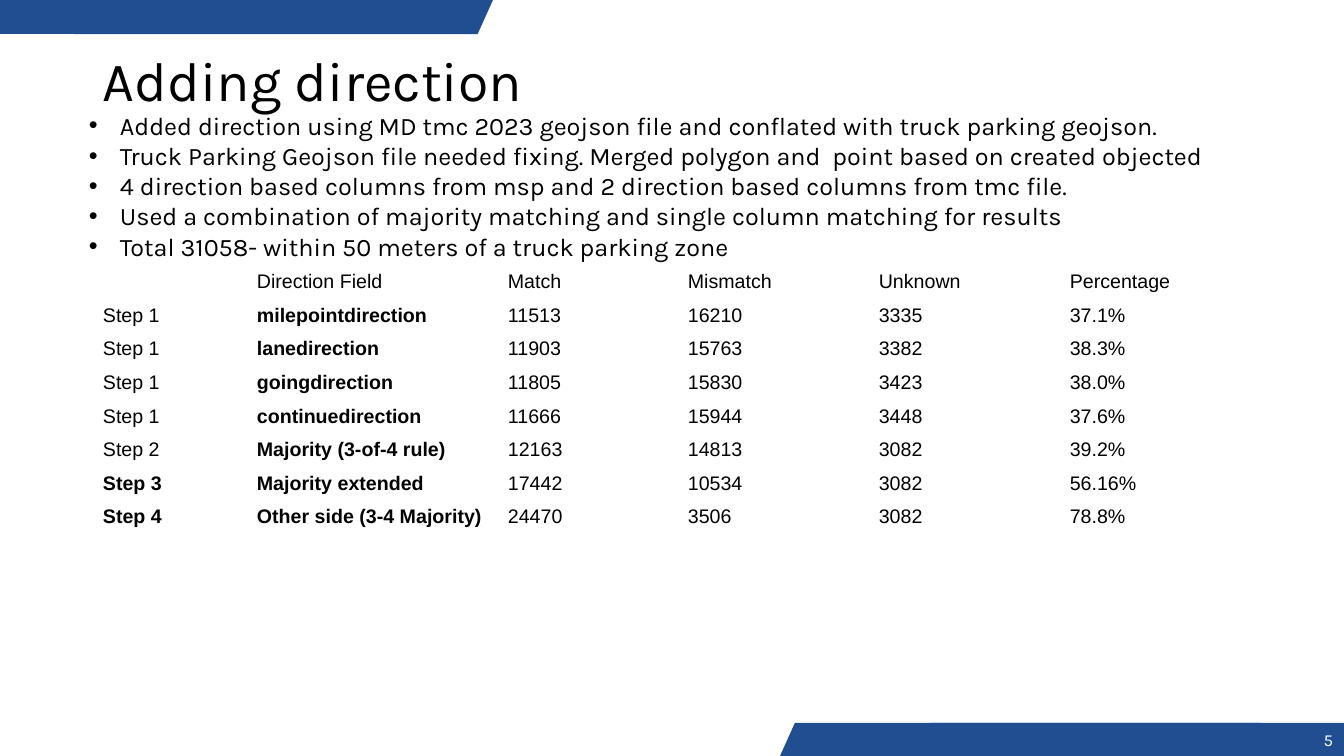
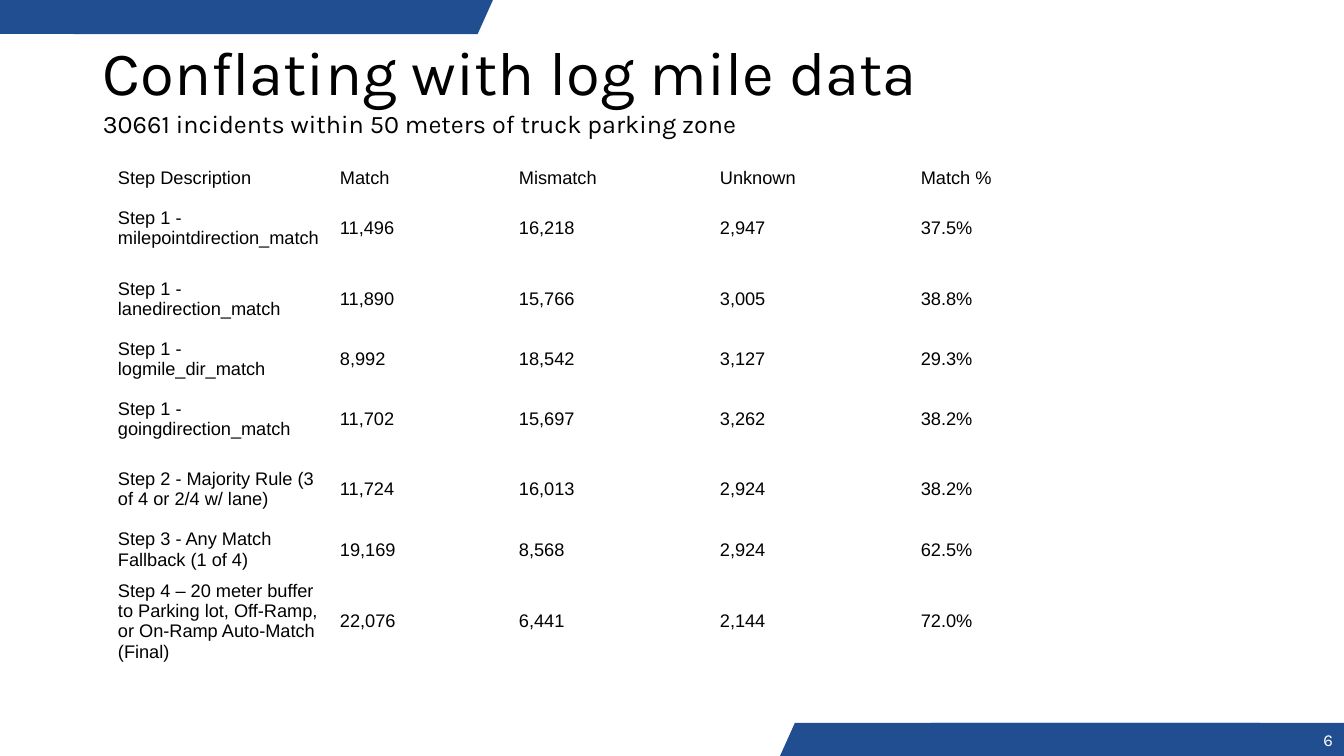
from dataclasses import dataclass
from lxml.etree import SubElement
from pptx import Presentation
from pptx.dml.color import RGBColor
from pptx.enum.shapes import MSO_SHAPE
from pptx.enum.text import MSO_ANCHOR, PP_ALIGN
from pptx.oxml.ns import qn
from pptx.util import Pt


@dataclass(frozen=True)
class Theme:
    blue: RGBColor = RGBColor(0x21, 0x4E, 0x91)
    black: RGBColor = RGBColor(0, 0, 0)
    white: RGBColor = RGBColor(255, 255, 255)
    heading_font: str = "Karla"
    table_font: str = "Arial"
    title: float = 39.6
    large_title: float = 44
    body: float = 18
    number: float = 12


theme = Theme()
PX = 914400 / 100.8


def px(*lengths):
    return [round(length * PX) for length in lengths]


def add_run(para, text, size, color=theme.black, font=theme.heading_font, bold=False):
    span = para.add_run()
    span.text = text
    span.font.size = Pt(size)
    span.font.name = font
    span.font.bold = bold
    span.font.color.rgb = color


bands = [
    (MSO_SHAPE.PARALLELOGRAM, (780, 723, 480, 33)),
    (MSO_SHAPE.RECTANGLE, (931, 723, 413, 33)),
    (MSO_SHAPE.PARALLELOGRAM, (74, 0, 419, 34)),
    (MSO_SHAPE.RECTANGLE, (0, 0, 361, 34)),
]

pages = [
    {
        "title": [("Adding direction", theme.title)],
        "title_place": (93, 45, 1159, 69),
        "bullets": [
            "Added direction using MD tmc 2023 geojson file and conflated with truck parking geojson.",
            "Truck Parking Geojson file needed fixing. Merged polygon and  point based on created objected",
            "4 direction based columns from msp and 2 direction based columns from tmc file.",
            "Used a combination of majority matching and single column matching for results",
            "Total 31058- within 50 meters of a truck parking zone",
        ],
        "table_corner": (93, 265),
        "columns": (154, 251, 180, 191, 191, 192),
        "heights": [269 / 8] * 8,
        "size": 14,
        "margins": (10, 5),
        "bold_cells": [(row, 1) for row in range(1, 8)] + [(6, 0), (7, 0)],
        "rows": [
            ("", "Direction Field", "Match", "Mismatch", "Unknown", "Percentage"),
            ("Step 1", "milepointdirection", "11513", "16210", "3335", "37.1%"),
            ("Step 1", "lanedirection", "11903", "15763", "3382", "38.3%"),
            ("Step 1", "goingdirection", "11805", "15830", "3423", "38.0%"),
            ("Step 1", "continuedirection", "11666", "15944", "3448", "37.6%"),
            ("Step 2", "Majority (3-of-4 rule)", "12163", "14813", "3082", "39.2%"),
            ("Step 3", "Majority extended", "17442", "10534", "3082", "56.16%"),
            ("Step 4", "Other side (3-4 Majority)", "24470", "3506", "3082", "78.8%"),
        ],
    },
    {
        "title": [
            ("Conflating with log mile data", theme.large_title),
            ("30661 incidents within 50 meters of truck parking zone", theme.body),
        ],
        "title_place": (93, 13, 1159, 146),
        "bullets": [],
        "table_corner": (111, 164),
        "columns": (222, 179, 201, 201, 201),
        "heights": (29, 71, 70, 50, 70, 71, 49, 90),
        "size": 13,
        "margins": (7, 3),
        "bold_cells": [],
        "rows": [
            ("Step Description", "Match", "Mismatch", "Unknown", "Match %"),
            ("Step 1 - milepointdirection_match", "11,496", "16,218", "2,947", "37.5%"),
            ("Step 1 - lanedirection_match", "11,890", "15,766", "3,005", "38.8%"),
            ("Step 1 - logmile_dir_match", "8,992", "18,542", "3,127", "29.3%"),
            ("Step 1 - goingdirection_match", "11,702", "15,697", "3,262", "38.2%"),
            ("Step 2 - Majority Rule (3 of 4 or 2/4 w/ lane)", "11,724", "16,013", "2,924", "38.2%"),
            ("Step 3 - Any Match Fallback (1 of 4)", "19,169", "8,568", "2,924", "62.5%"),
            (
                "Step 4 – 20 meter buffer to Parking lot, Off-Ramp, or On-Ramp Auto-Match (Final)",
                "22,076", "6,441", "2,144", "72.0%",
            ),
        ],
    },
]

deck = Presentation()
deck.slide_width, deck.slide_height = px(1344, 756)

for page_number, page in enumerate(pages, start=5):
    slide = deck.slides.add_slide(deck.slide_layouts[6])

    for preset, place in bands:
        band = slide.shapes.add_shape(preset, *px(*place))
        band.shadow.inherit = False
        band.fill.solid()
        band.fill.fore_color.rgb = theme.blue
        band.line.fill.background()
        if preset == MSO_SHAPE.PARALLELOGRAM:
            band.adjustments[0] = 0.45

    title_box = slide.shapes.add_textbox(*px(*page["title_place"]))
    title_box.text_frame.word_wrap = True
    title_box.text_frame.vertical_anchor = MSO_ANCHOR.MIDDLE
    title_para = title_box.text_frame.paragraphs[0]
    for index, (text, size) in enumerate(page["title"]):
        if index:
            title_para.add_line_break()
        add_run(title_para, text, size)

    number_box = slide.shapes.add_textbox(*px(1291, 723, 52, 33))
    number_box.text_frame.word_wrap = True
    number_box.text_frame.vertical_anchor = MSO_ANCHOR.MIDDLE
    number_para = number_box.text_frame.paragraphs[0]
    number_para.alignment = PP_ALIGN.RIGHT
    add_run(number_para, str(page_number), theme.number, theme.white)

    if page["bullets"]:
        bullet_box = slide.shapes.add_textbox(*px(79, 105, 1178, 163))
        bullet_box.text_frame.word_wrap = True
        indent = px(31)[0]
        for index, text in enumerate(page["bullets"]):
            frame = bullet_box.text_frame
            para = frame.add_paragraph() if index else frame.paragraphs[0]
            properties = para._p.get_or_add_pPr()
            properties.set("marL", str(indent))
            properties.set("indent", str(-indent))
            SubElement(properties, qn("a:buFont"), typeface=theme.table_font)
            SubElement(properties, qn("a:buChar"), char="•")
            add_run(para, text, theme.body)

    rows, columns, heights = page["rows"], page["columns"], page["heights"]
    table_place = px(*page["table_corner"], sum(columns), sum(heights))
    table = slide.shapes.add_table(len(rows), len(columns), *table_place).table
    table.first_row = False
    table.horz_banding = False
    for column, width in zip(table.columns, px(*columns)):
        column.width = width
    for row, height in zip(table.rows, px(*heights)):
        row.height = height

    side, edge = px(*page["margins"])
    for row_index, values in enumerate(rows):
        for column_index, text in enumerate(values):
            cell = table.cell(row_index, column_index)
            cell.fill.background()
            cell.vertical_anchor = MSO_ANCHOR.MIDDLE
            cell.margin_left = cell.margin_right = side
            cell.margin_top = cell.margin_bottom = edge
            para = cell.text_frame.paragraphs[0]
            if text:
                bold = (row_index, column_index) in page["bold_cells"]
                add_run(para, text, page["size"], font=theme.table_font, bold=bold)
            else:
                SubElement(para._p, qn("a:endParaRPr"), sz=str(page["size"] * 100))

deck.save("out.pptx")
